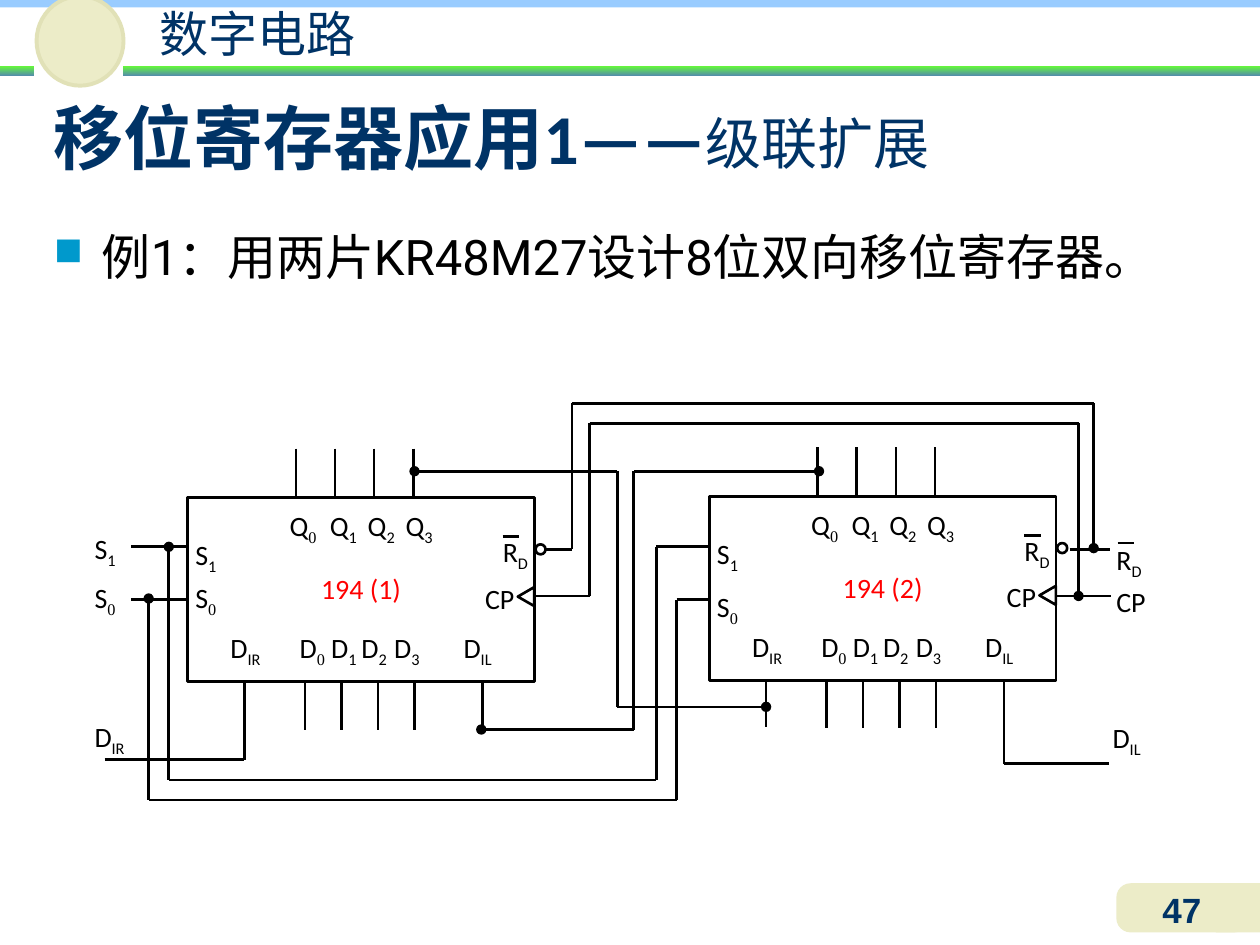
import dataclasses
import itertools

import lxml.etree
import pptx
import pptx.dml.color
import pptx.enum.shapes
import pptx.enum.text
import pptx.oxml.ns
import pptx.util

SCALE = 9144
SHAPES = pptx.enum.shapes.MSO_SHAPE
ALIGN = pptx.enum.text.PP_ALIGN
ANCHOR = pptx.enum.text.MSO_ANCHOR


@dataclasses.dataclass(frozen=True)
class Theme:
    """Colours, type sizes and line widths of the deck."""
    navy: str = "003366"
    black: str = "000000"
    red: str = "FF0000"
    sky: str = "99CCFF"
    cream: str = "ECECC8"
    cream_edge: str = "E1E1B7"
    bullet: str = "0099CC"
    gradient: tuple = ("66FF33", "5490A8")
    wire: float = 1.5
    ring: float = 2.25
    header: tuple = (28, "Arial", False, navy)
    title: tuple = (40, "Roboto", True, navy)
    title_number: tuple = (40, "Calibri", True, navy)
    subtitle: tuple = (32, "Roboto", False, navy)
    body: tuple = (28, "Roboto", False, black)
    number: tuple = (20, "Arial", True, navy)
    pin: tuple = (16, "Calibri", False, black)
    zero: tuple = (16, "Times New Roman", False, black)
    chip_name: tuple = (16, "Calibri", False, red)


THEME = Theme()


def px(length):
    """Turn px into EMU."""
    return pptx.util.Emu(length * SCALE)


def rgb(value):
    """Return a colour from its hex value."""
    return pptx.dml.color.RGBColor.from_string(value)


def add_xml(parent, tag, **values):
    """Append a drawing element with the given attributes."""
    child = lxml.etree.SubElement(parent, pptx.oxml.ns.qn(tag))
    for key, value in values.items():
        child.set(key, str(value))
    return child


def add_span(para, text, style, subscript=False):
    """Add one run in a theme style."""
    span = para.add_run()
    span.text = text
    size, name, bold, color = style
    for key, value in {"size": pptx.util.Pt(size), "name": name, "bold": bold}.items():
        setattr(span.font, key, value)
    span.font.color.rgb = rgb(color)
    if subscript:
        span._r.get_or_add_rPr().set("baseline", "-25000")


def add_pins(para, label):
    """Write pin names in which every second part between bars is a subscript."""
    for index, part in enumerate(label.split("|")):
        if part:
            add_span(para, part, THEME.zero if part == "0" else THEME.pin, index % 2 == 1)


def set_frame(frame, inset=(10, 5), anchor=ANCHOR.TOP):
    """Set wrapping, margins and anchor of a text frame."""
    across, down = map(px, inset)
    values = {"word_wrap": True, "margin_left": across, "margin_right": across,
              "margin_top": down, "margin_bottom": down, "vertical_anchor": anchor}
    for key, value in values.items():
        setattr(frame, key, value)


def set_para(para, **values):
    """Set paragraph formats."""
    for key, value in values.items():
        setattr(para, key, value)


def add_text(page, box, inset=(10, 5), anchor=ANCHOR.TOP):
    """Add a text box and return its frame."""
    frame = page.shapes.add_textbox(*map(px, box)).text_frame
    set_frame(frame, inset, anchor)
    return frame


def add_labels(page, box, labels, inset=(2, 1), spacing=1.12, gap=0):
    """Add a box with one pin label on each line."""
    frame = add_text(page, box, inset)
    for index, label in enumerate(labels):
        para = frame.add_paragraph() if index else frame.paragraphs[0]
        set_para(para, line_spacing=spacing, space_before=pptx.util.Pt(gap if index else 0))
        add_pins(para, label)


def add_shape(page, kind, box, fill=None, edge=None, width=THEME.wire):
    """Add a preset shape with plain, gradient or no fill."""
    shape = page.shapes.add_shape(kind, *map(px, box))
    shape.shadow.inherit = False
    if fill is None:
        shape.fill.background()
    elif isinstance(fill, tuple):
        shape.fill.gradient()
        shape.fill.gradient_angle = 270
        for stop, color in zip(shape.fill.gradient_stops, fill):
            stop.color.rgb = rgb(color)
    else:
        shape.fill.solid()
        shape.fill.fore_color.rgb = rgb(fill)
    if edge:
        shape.line.color.rgb = rgb(edge)
        shape.line.width = pptx.util.Pt(width)
    else:
        shape.line.fill.background()
    return shape


def add_wire(page, points, start_dot=False, end_dot=False):
    """Join points by straight lines, with optional dots at the two ends."""
    pairs = list(itertools.pairwise(points))
    for index, (start, end) in enumerate(pairs):
        line = page.shapes.add_connector(
            pptx.enum.shapes.MSO_CONNECTOR.STRAIGHT, *map(px, start + end))
        line.line.color.rgb = rgb(THEME.black)
        line.line.width = pptx.util.Pt(THEME.wire)
        properties = line._element.spPr
        outline = properties.find(pptx.oxml.ns.qn("a:ln"))
        if start_dot and index == 0:
            add_xml(outline, "a:headEnd", type="oval")
        if end_dot and index == len(pairs) - 1:
            add_xml(outline, "a:tailEnd", type="oval")
        add_xml(properties, "a:effectLst")


def add_header(page, box):
    """Draw the course banner across the top."""
    left, top, width, height = box
    add_shape(page, SHAPES.RECTANGLE, (left, top - 2, width, 8), THEME.sky)
    for start, end in ((0, 27), (98, width)):
        add_shape(page, SHAPES.RECTANGLE,
                  (left + start, top + height - 8, end - start, 8), THEME.gradient)
    add_shape(page, SHAPES.OVAL, (left + 29, top - 3, 69, 71),
              THEME.cream, THEME.cream_edge, THEME.ring)
    para = add_text(page, (left + 98, top + 3, 213, 42), (2, 0)).paragraphs[0]
    para.alignment = ALIGN.CENTER
    add_span(para, "数字电路", THEME.header)


def add_heading(page, box):
    """Write the title and the bulleted example."""
    left, top, width, height = box
    para = add_text(page, (left, top, width, 100), anchor=ANCHOR.MIDDLE).paragraphs[0]
    for text, style in (("移位寄存器应用", THEME.title), ("1——", THEME.title_number),
                        ("级联扩展", THEME.subtitle)):
        add_span(para, text, style)
    para = add_text(page, (left, top + 117, width, height - 117)).paragraphs[0]
    properties = para._p.get_or_add_pPr()
    for key, value in {"marL": px(38), "indent": px(-38)}.items():
        properties.set(key, str(value))
    add_xml(add_xml(properties, "a:buClr"), "a:srgbClr", val=THEME.bullet)
    add_xml(properties, "a:buSzPct", val=80000)
    add_xml(properties, "a:buChar", char="■")
    add_span(para, "例1：用两片KR48M27设计8位双向移位寄存器。", THEME.body)


def add_chip(page, box, name, select_gap):
    """Draw one shift register with its pins."""
    left, top, width, height = box
    frame = add_shape(page, SHAPES.RECTANGLE, box, edge=THEME.black).text_frame
    set_frame(frame)
    rows = (("\tQ|0|\tQ|1|\tQ|2|\tQ|3|", (71, 103, 133, 163)), (None, ()),
            ("\tD|IR|\tD|0|\tD|1|\tD|2|\tD|3|\tD|IL|", (24, 79, 104, 128, 154, 209)))
    for index, (label, stops) in enumerate(rows):
        para = frame.add_paragraph() if index else frame.paragraphs[0]
        if label:
            tabs = add_xml(para._p.get_or_add_pPr(), "a:tabLst")
            for stop in stops:
                add_xml(tabs, "a:tab", pos=px(stop), algn="l")
            add_pins(para, label)
        else:
            add_span(para, name, THEME.chip_name)
        set_para(para, alignment=ALIGN.LEFT if label else ALIGN.CENTER,
                 line_spacing=1.12, space_before=pptx.util.Pt(12 if index else 0))
    for pin in range(4):
        for x, y in ((86 + 31 * pin, -39), (93 + 29 * pin, height - 1)):
            add_wire(page, [(left + x, top + y), (left + x, top + y + 39)])
    add_labels(page, (left + 4, top + 27, 37, 69), ["S|1|", "S|0|"], gap=select_gap)
    add_labels(page, (left + width - 27, top + 25, 31, 42), ["R|D|"])
    add_wire(page, [(left + width - 25, top + 31), (left + width - 12, top + 31)])
    add_labels(page, (left + width - 41, top + 62, 37, 42), ["CP"])
    add_shape(page, SHAPES.ISOSCELES_TRIANGLE, (left + width - 14, top + 72, 15, 13),
              edge=THEME.black).rotation = 270
    add_shape(page, SHAPES.OVAL, (left + width + 1, top + 37, 8, 8), edge=THEME.black)


def add_circuit(page, box):
    """Draw two cascaded registers, their wires and outer labels."""
    left, top, width, height = box
    add_chip(page, (left + 74, top + 75, 275, 146), "194 (1)", 0)
    add_chip(page, (left + 488, top + 74, 275, 146), "194 (2)", 6)
    wires = (
        ([(8, 283), (119, 283), (119, 220)], False, False),
        ([(29, 114), (74, 114)], False, False),
        ([(29, 156), (74, 156)], False, False),
        ([(59, 114), (59, 299), (446, 299), (446, 114), (488, 114)], True, False),
        ([(43, 155), (43, 315), (462, 315), (462, 156), (488, 156)], True, False),
        ([(254, 54), (415, 54), (415, 241), (533, 241)], True, True),
        ([(533, 219), (533, 257)], False, False),
        ([(575, 54), (428, 54), (428, 259), (307, 259)], True, True),
        ([(308, 220), (308, 259)], False, False),
        ([(722, 221), (722, 286), (805, 286)], False, False),
        ([(357, 116), (379, 116), (379, 0), (793, 0), (793, 115)], False, True),
        ([(774, 116), (806, 116)], False, False),
        ([(349, 153), (393, 153), (393, 16), (781, 16), (781, 153)], False, True),
        ([(763, 153), (807, 153)], False, False),
        ([(812, 111), (825, 111)], False, False))
    for points, start_dot, end_dot in wires:
        add_wire(page, [(left + x, top + y) for x, y in points], start_dot, end_dot)
    add_labels(page, (left + 809, top + 106, 42, 82), ["R|D|", "CP"])
    add_labels(page, (left, top + 102, 28, 70), ["S|1|", "S|0|"], (0, 0), 1.0, 6)
    add_labels(page, (left, top + 251, 42, 40), ["D|IR|"], (0, 0), 1.0)
    add_labels(page, (left + 808, top + 252, 33, 32), ["D|IL|"], (0, 0), 1.0)


def add_page_number(page, box):
    """Draw the page number on its corner tab."""
    left, top, width, height = box
    add_shape(page, SHAPES.RECTANGLE, (left + width - 35, top, 35, height), THEME.cream)
    tab = add_shape(page, SHAPES.ROUNDED_RECTANGLE, (left, top, 105, height), THEME.cream)
    tab.adjustments[0] = 0.29
    para = add_text(page, (left + 6, top - 1, 92, 33)).paragraphs[0]
    para.alignment = ALIGN.CENTER
    add_span(para, "47", THEME.number)


def main():
    """Build and save the deck."""
    deck = pptx.Presentation()
    deck.slide_width, deck.slide_height = px(1000), px(750)
    page = deck.slides.add_slide(deck.slide_layouts[6])
    add_header(page, (0, 0, 1000, 60))
    add_heading(page, (33, 58, 945, 230))
    add_circuit(page, (75, 320, 851, 315))
    add_page_number(page, (886, 701, 114, 39))
    deck.save("out.pptx")


if __name__ == "__main__":
    main()
